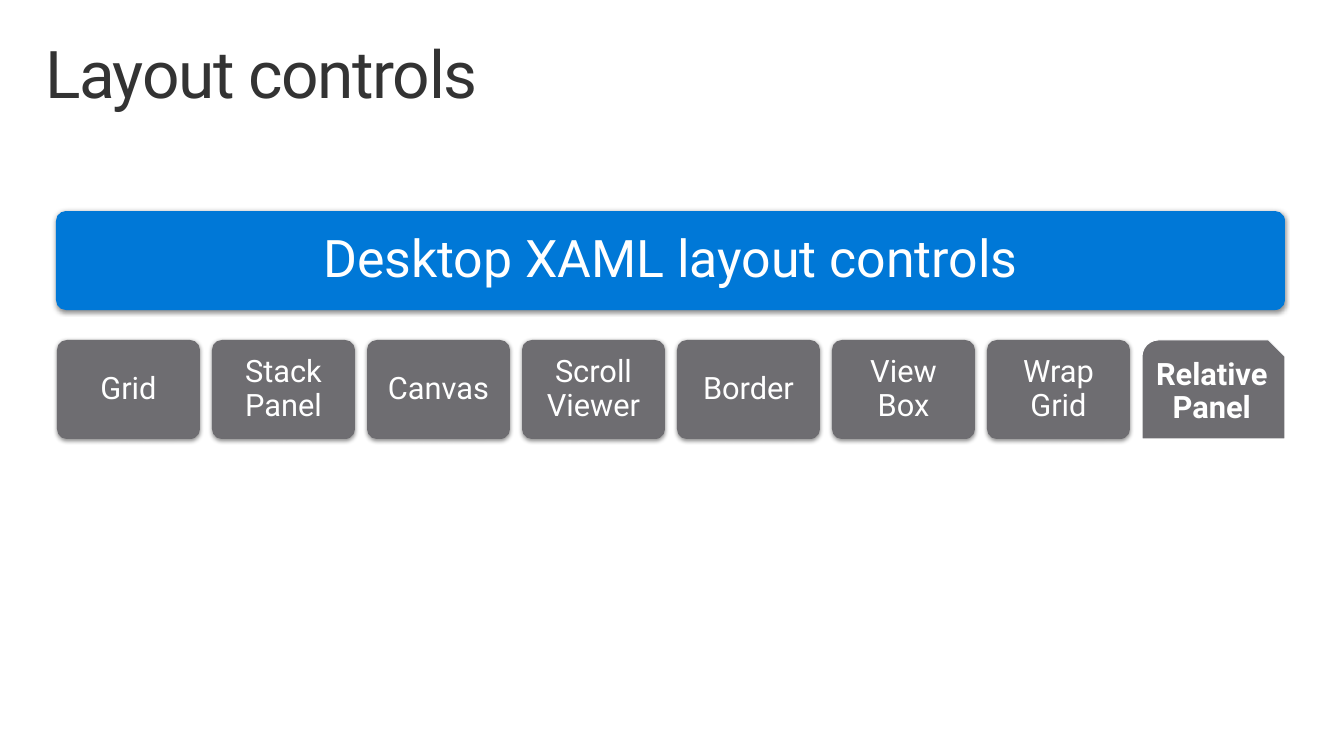
from dataclasses import dataclass

from lxml import etree
from pptx import Presentation
from pptx import util as u
from pptx.dml.color import RGBColor
from pptx.enum import shapes, text
from pptx.oxml.ns import qn

EMU_PER_PX = 914400 / 100.8
FONT = "Roboto"
COLORS = {"title": "333333", "banner": "0078D7", "control": "6E6D71",
          "white": "FFFFFF", "shadow": "000000"}
CONTROLS = ["Grid", "Stack Panel", "Canvas", "Scroll Viewer", "Border",
            "View Box", "Wrap Grid", "Relative Panel"]
NEWEST = "Relative Panel"
CONTROL_LEFT, CONTROL_PITCH = 57, 155


@dataclass(frozen=True)
class Tile:
    label: str
    left: int
    top: int
    width: int
    height: int
    fill: str
    size: int
    inset: int
    highlighted: bool = False


def px(count: int) -> u.Emu:
    return u.Emu(round(count * EMU_PER_PX))


def rgb(name: str) -> RGBColor:
    return RGBColor.from_string(COLORS[name])


def write(holder, words: str, *, size: int, color: str, align, anchor,
          inset_x: int, inset_y: int, bold: bool = False, tracking: int = 0) -> None:
    frame = holder.text_frame
    frame.word_wrap = True
    frame.auto_size = text.MSO_AUTO_SIZE.NONE
    frame.vertical_anchor = anchor
    frame.margin_left = frame.margin_right = px(inset_x)
    frame.margin_top = frame.margin_bottom = px(inset_y)
    line = frame.paragraphs[0]
    line.alignment = align
    line.line_spacing = 0.9
    line.space_before = u.Pt(0)
    run = line.add_run()
    run.text = words
    run.font.name = FONT
    run.font.size = u.Pt(size)
    run.font.bold = bold
    run.font.color.rgb = rgb(color)
    if tracking:
        run._r.get_or_add_rPr().set("spc", str(tracking))


def add_shadow(shape) -> None:
    effects = shape._element.spPr.find(qn("a:effectLst"))
    shadow = etree.SubElement(effects, qn("a:outerShdw"), blurRad=str(u.Pt(3.5)),
                              dist=str(u.Pt(1.1)), dir="5400000",
                              algn="t", rotWithShape="0")
    tint = etree.SubElement(shadow, qn("a:srgbClr"), val=COLORS["shadow"])
    etree.SubElement(tint, qn("a:alpha"), val="45000")


def draw_tile(slide, tile: Tile) -> None:
    preset = (shapes.MSO_SHAPE.SNIP_ROUND_RECTANGLE if tile.highlighted
              else shapes.MSO_SHAPE.ROUNDED_RECTANGLE)
    shape = slide.shapes.add_shape(preset, px(tile.left), px(tile.top),
                                   px(tile.width), px(tile.height))
    shape.shadow.inherit = False
    shape.fill.solid()
    shape.fill.fore_color.rgb = rgb(tile.fill)
    if tile.highlighted:
        shape.line.color.rgb = rgb("white")
        shape.line.width = u.Pt(0.75)
    else:
        shape.adjustments[0] = 0.1
        shape.line.fill.background()
        add_shadow(shape)
    write(shape, tile.label, size=tile.size, color="white",
          align=text.PP_ALIGN.CENTER, anchor=text.MSO_ANCHOR.MIDDLE,
          inset_x=tile.inset, inset_y=tile.inset, bold=tile.highlighted)


def main() -> None:
    deck = Presentation()
    deck.slide_width, deck.slide_height = px(1344), px(756)
    slide = deck.slides.add_slide(deck.slide_layouts[5])

    title = slide.shapes.title
    title.left, title.top, title.width, title.height = map(px, (29, 32, 1285, 99))
    write(title, "Layout controls", size=47, color="title",
          align=text.PP_ALIGN.LEFT, anchor=text.MSO_ANCHOR.TOP,
          inset_x=16, inset_y=10, tracking=-100)

    draw_tile(slide, Tile("Desktop XAML layout controls", 56, 211, 1229, 99,
                          "banner", 37, 15))
    for column, label in enumerate(CONTROLS):
        draw_tile(slide, Tile(label, CONTROL_LEFT + column * CONTROL_PITCH, 340,
                              143, 99, "control", 22, 9, label == NEWEST))

    deck.save("out.pptx")


if __name__ == "__main__":
    main()
